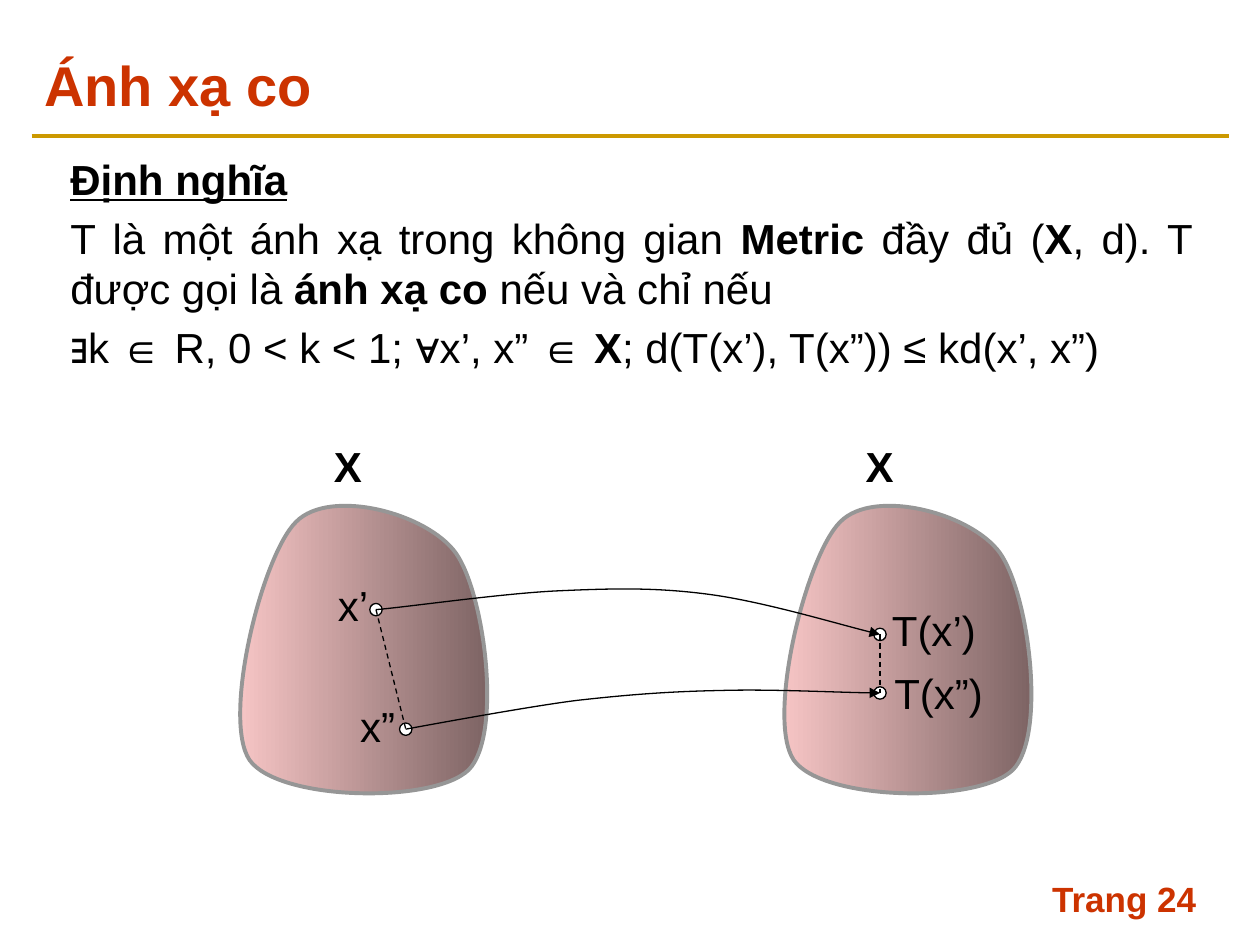
from lxml import etree
from pptx import Presentation, util as u
from pptx.dml.color import RGBColor
from pptx.enum import dml, shapes, text
from pptx.oxml import ns

# Content: a span is (words, format), a paragraph is a list of spans
BOLD = {"bold": True}
TITLE = [[("Ánh xạ co", BOLD)]]
FOOTER = [[("Trang 24", BOLD)]]
BODY = [
    [("Định nghĩa", {"bold": True, "underline": True})],
    [("T là một ánh xạ trong không gian ", {}), ("Metric", BOLD),
     (" đầy đủ (", {}), ("X", BOLD), (", d). T được gọi là ", {}),
     ("ánh xạ co", BOLD), (" nếu và chỉ nếu", {})],
    [("∃k ∈ R, 0 < k < 1; ∀x’, x” ∈ ", {}), ("X", BOLD),
     ("; d(T(x’), T(x”)) ≤ kd(x’, x”)", {})],
]
RED, GOLD, BLACK, WHITE, PINK, GREY = (
    "CC3300", "CC9900", "000000", "FFFFFF", "FFCCCC", "969696")

# Labels: words, format, left, top, width (cm)
LABELS = [
    ("x’", {}, 6.81, 11.68, 0.65),
    ("x”", {}, 7.26, 14.12, 0.75),
    ("T(x’)", {}, 17.98, 12.19, 1.74),
    ("T(x”)", {}, 18.03, 13.46, 1.84),
    ("X", BOLD, 6.73, 8.88, 0.6),
    ("X", BOLD, 17.45, 8.88, 0.6),
]
# Points of the two sets, joined in pairs by a dashed line
PAIRS = [((7.58, 12.29), (8.18, 14.7)), ((17.74, 12.79), (17.74, 13.97))]
DOT = 0.25

# Curves: a start point, then three Bezier points per segment
SET_SHIFT = 10.97
SET_OUTLINE = [
    (5.97, 10.52), (6.65, 9.83), (8.61, 10.34), (9.19, 11.15),
    (9.78, 11.99), (10.13, 14.83), (9.45, 15.52),
    (8.74, 16.21), (5.61, 16.15), (5.03, 15.32),
    (4.47, 14.48), (5.28, 11.2), (5.97, 10.52),
]
MAPPINGS = [
    [(7.58, 12.29), (8.2, 12.24), (10.13, 11.96), (11.28, 11.91),
     (12.4, 11.86), (13.26, 11.84), (14.35, 11.99),
     (15.42, 12.14), (17.02, 12.62), (17.74, 12.79)],
    [(8.18, 14.7), (8.18, 14.7), (10.59, 14.25), (11.63, 14.12),
     (12.7, 14), (13.51, 13.94), (14.53, 13.92),
     (15.54, 13.89), (17.07, 13.97), (17.74, 13.97)],
]

deck = Presentation()
deck.slide_width, deck.slide_height = u.Cm(25.4), u.Cm(19.05)
page = deck.slides.add_slide(deck.slide_layouts[6])


def color(value):
    return RGBColor.from_string(value)


def add_text(paragraphs, left, top, width, height, size=24, ink=BLACK,
             frame_format=None, para_format=None):
    box = page.shapes.add_textbox(*map(u.Cm, (left, top, width, height)))
    frame = box.text_frame
    for name, value in {"word_wrap": True, **(frame_format or {})}.items():
        setattr(frame, name, value)
    for index, spans in enumerate(paragraphs):
        para = frame.add_paragraph() if index else frame.paragraphs[0]
        for name, value in (para_format or {}).items():
            if index or name != "space_before":
                setattr(para, name, value)
        for words, font_format in spans:
            span = para.add_run()
            span.text = words
            span.font.color.rgb = color(ink)
            values = {"name": "Arial", "size": u.Pt(size), **font_format}
            for name, value in values.items():
                setattr(span.font, name, value)


def set_line(item, ink, width):
    item.line.color.rgb = color(ink)
    item.line.width = u.Pt(width)


def add_line(start, end, ink, width, dash=None):
    line = page.shapes.add_connector(
        shapes.MSO_CONNECTOR.STRAIGHT, *map(u.Cm, (*start, *end)))
    set_line(line, ink, width)
    if dash:
        line.line.dash_style = dash
    etree.SubElement(line.element.spPr, ns.qn("a:effectLst"))


def add_curve(points, ink, width, close=False):
    places = [(u.Cm(x), u.Cm(y)) for x, y in points]
    builder = page.shapes.build_freeform(*places[0])
    builder.add_line_segments(places[1:], close=close)
    curve = builder.convert_to_shape()
    curve.shadow.inherit = False
    set_line(curve, ink, width)
    # Every three straight steps become one Bezier segment
    steps = list(curve.element.iter(ns.qn("a:lnTo")))
    for first in range(0, len(steps), 3):
        bezier = etree.Element(ns.qn("a:cubicBezTo"))
        steps[first].addprevious(bezier)
        for step in steps[first:first + 3]:
            bezier.append(step[0])
            step.getparent().remove(step)
    return curve


# Heading, rule, definition and page number
add_line((0.64, 2.74), (24.77, 2.74), GOLD, 2.25)
add_text(FOOTER, 20.96, 17.57, 3.81, 1.27, 20, RED)
add_text(TITLE, 0.64, 0.84, 24.13, 1.7, 32, RED,
         {"vertical_anchor": text.MSO_ANCHOR.MIDDLE})
add_text(BODY, 1.17, 2.97, 23.11, 14.6, para_format={
    "alignment": text.PP_ALIGN.JUSTIFY, "space_before": u.Pt(4.8)})

# The two sets, shaded from pink to a darker pink
for shift in (0, SET_SHIFT):
    blob = add_curve([(x + shift, y) for x, y in SET_OUTLINE], GREY, 2.25, True)
    blob.fill.gradient()
    blob.fill.gradient_angle = 0
    for stop, position in zip(blob.fill.gradient_stops, (0, 1)):
        stop.color.rgb = color(PINK)
        stop.position = position
    dark = list(blob.element.iter(ns.qn("a:srgbClr")))[1]
    etree.SubElement(dark, ns.qn("a:gamma"))
    etree.SubElement(dark, ns.qn("a:shade")).set("val", "46275")
    etree.SubElement(dark, ns.qn("a:invGamma"))

# Points and the distances between them
for pair in PAIRS:
    for x, y in pair:
        dot = page.shapes.add_shape(
            shapes.MSO_SHAPE.OVAL,
            *map(u.Cm, (x - DOT / 2, y - DOT / 2, DOT, DOT)))
        dot.shadow.inherit = False
        dot.fill.solid()
        dot.fill.fore_color.rgb = color(WHITE)
        set_line(dot, BLACK, 0.75)
    add_line(*pair, BLACK, 0.75, dml.MSO_LINE.DASH)

# Mapping arrows
for points in MAPPINGS:
    arrow = add_curve(points, BLACK, 0.75)
    arrow.fill.background()
    outline = arrow.element.spPr.find(ns.qn("a:ln"))
    etree.SubElement(outline, ns.qn("a:tailEnd")).set("type", "triangle")

# Labels, each box slightly wider than its words so that they stay on one line
LABEL_FRAME = {"word_wrap": False, "auto_size": text.MSO_AUTO_SIZE.SHAPE_TO_FIT_TEXT}
LABEL_FRAME.update({f"margin_{side}": 0 for side in ("left", "top", "right", "bottom")})
for words, font_format, left, top, width in LABELS:
    add_text([[(words, font_format)]], left, top, width, 1.02,
             frame_format=LABEL_FRAME)

deck.save("out.pptx")
